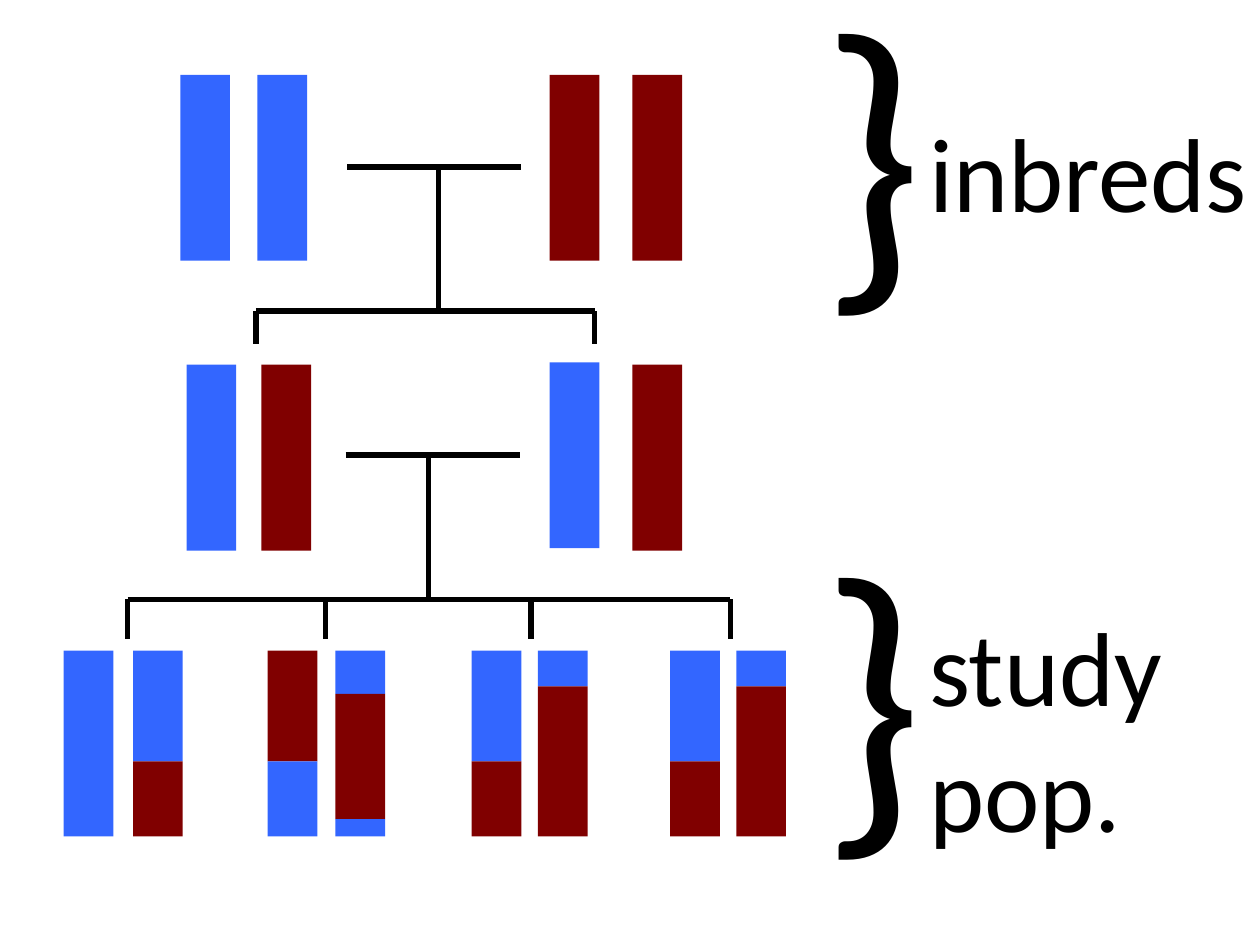
"""Build a slide showing an intercross from inbred parents to a study population."""
import pptx
import pptx.util
import pptx.dml.color
import pptx.enum.shapes
import pptx.enum.text
import lxml.etree
import pptx.oxml.ns

COLORS = {"blue": "3366FF", "red": "800000", "black": "000000"}
BAR_WIDTH = 45.4
BAR_HEIGHT = 170
COUPLE_WIDTH = 159.1
STEM_HEIGHT = 131.8

BLUE = [("blue", BAR_HEIGHT)]
RED = [("red", BAR_HEIGHT)]
BLUE_OVER_RED = [("blue", 101.3), ("red", 68.7)]
RED_OVER_BLUE = [("red", 101.3), ("blue", 68.7)]
BLUE_TIP = [("blue", 32.7), ("red", 137.3)]
BLUE_ENDS = [("blue", 39.6), ("red", 114.5), ("blue", 15.9)]

CHROMOSOMES = [
    (164.9, 68.4, BLUE), (235.4, 68.4, BLUE),
    (502.6, 68.4, RED), (578.2, 68.4, RED),
    (170.6, 333.4, BLUE), (239, 333.4, RED),
    (502.6, 331.2, BLUE), (578.2, 333.4, RED),
    (58.3, 594.8, BLUE), (121.7, 594.8, BLUE_OVER_RED),
    (244.8, 594.8, RED_OVER_BLUE), (306.7, 594.8, BLUE_ENDS),
    (431.3, 594.8, BLUE_OVER_RED), (491.8, 594.8, BLUE_TIP),
    (612.7, 594.8, BLUE_OVER_RED), (673.2, 594.8, BLUE_TIP),
]


def points(*values):
    return [pptx.util.Pt(value) for value in values]


def color(name):
    return pptx.dml.color.RGBColor.from_string(COLORS[name])


def add_chromosome(slide, left, top, segments):
    for name, height in segments:
        bar = slide.shapes.add_shape(
            pptx.enum.shapes.MSO_SHAPE.RECTANGLE,
            *points(left, top, BAR_WIDTH, height))
        bar.shadow.inherit = False
        bar.fill.solid()
        bar.fill.fore_color.rgb = color(name)
        bar.line.fill.background()
        top += height


def add_line(slide, *ends):
    line = slide.shapes.add_connector(
        pptx.enum.shapes.MSO_CONNECTOR.STRAIGHT, *points(*ends))
    line.line.width = pptx.util.Pt(5)
    line.line.color.rgb = color("black")
    lxml.etree.SubElement(
        line._element.spPr, pptx.oxml.ns.qn("a:effectLst"))


def add_cross(slide, left, top, stem, children, drop):
    branch = top + STEM_HEIGHT
    add_line(slide, left, top, left + COUPLE_WIDTH, top)
    add_line(slide, stem, top, stem, branch)
    add_line(slide, children[0], branch, children[-1], branch)
    for child in children:
        add_line(slide, child, branch, child, branch + drop)


def add_label(slide, text, size, *place):
    box = slide.shapes.add_textbox(*points(*place))
    frame = box.text_frame
    frame.text = text
    frame.word_wrap = False
    frame.auto_size = pptx.enum.text.MSO_AUTO_SIZE.SHAPE_TO_FIT_TEXT
    for para in frame.paragraphs:
        for span in para.runs:
            span.font.name = "Calibri"
            span.font.size = pptx.util.Pt(size)
            span.font.color.rgb = color("black")


def main():
    deck = pptx.Presentation()
    deck.slide_width, deck.slide_height = points(1152, 864)
    slide = deck.slides.add_slide(deck.slide_layouts[6])
    for left, top, segments in CHROMOSOMES:
        add_chromosome(slide, left, top, segments)
    add_cross(slide, 317.5, 152.6, 401, [234, 543.6], 30.2)
    add_cross(slide, 316.1, 416.2, 391.7, [116.6, 297.4, 485.3, 667.8], 36)
    for top in (-55.4, 442.1):
        add_label(slide, "}", 300, 743, top, 109.4, 370.8)
    add_label(slide, "inbreds", 96, 842.4, 94.3, 309.6, 123.8)
    add_label(slide, "study\npop.", 96, 842.4, 546.5, 230.4, 239.8)
    deck.save("out.pptx")


main()
